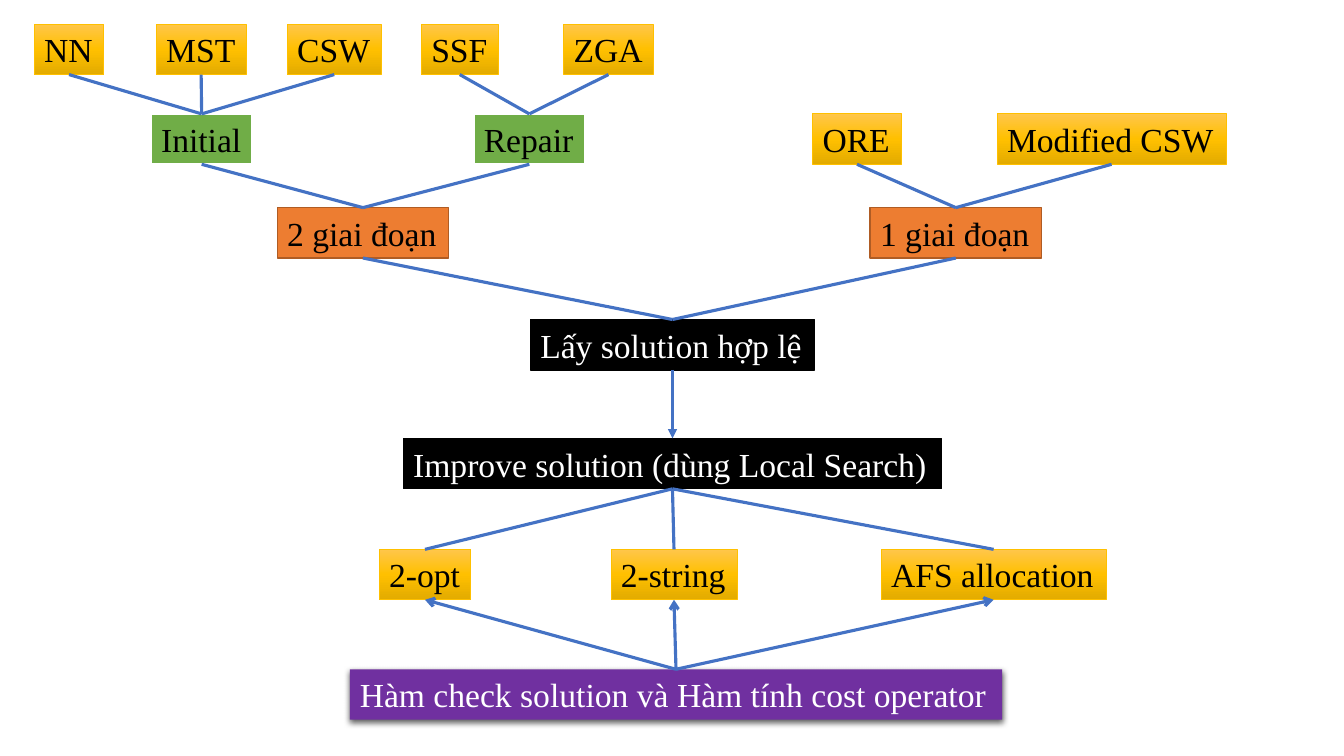
from copy import deepcopy
from pptx import Presentation
from pptx.dml.color import RGBColor
from pptx.enum.shapes import MSO_CONNECTOR as Link
from pptx.enum.text import MSO_AUTO_SIZE as Auto
from pptx.oxml import parse_xml
from pptx.oxml.ns import nsdecls, qn
from pptx.util import Inches, Pt

TALL = 0.5
TOP, BASE = 0, 2  # connection sites of a rectangle
GOLD = ["FFC64B", "FFC000", "E3AB00"]
KINDS = {  # fill, line colour, line width, text colour
    "gold": (GOLD, "FFC000", 0.5, "000000"),
    "green": ("70AD47", "FFFFFF", 1.5, "000000"),
    "orange": ("ED7D31", "AF5C24", 1, "000000"),
    "black": ("000000", "000000", 1, "FFFFFF"),
    "purple": ("7030A0", None, 0, "FFFFFF"),
}


def paint(target, tone):
    """Colour a fill or a font; a list of tones makes a downward gradient."""
    if isinstance(tone, list):
        target.gradient()
        target.gradient_angle = 270
        first = target.gradient_stops[0]._gs
        first.addnext(deepcopy(first))
        for i, stop in enumerate(target.gradient_stops):
            stop.position = i / (len(tone) - 1)
            paint(stop, tone[i])
        return
    if hasattr(target, "solid"):
        target.solid()
    color = target.fore_color if hasattr(target, "fore_color") else target.color
    color.rgb = RGBColor.from_string(tone)


def style(item, **values):
    for name, value in values.items():
        setattr(item, name, value)


def effect(shape, inner=""):
    shape._element.spPr.append(parse_xml(
        f'<a:effectLst {nsdecls("a")}>{inner}</a:effectLst>'))


# Parts
def node(slide, kind, text, x, y, wide):
    fill, edge, width, ink = KINDS[kind]
    box = slide.shapes.add_textbox(*map(Inches, (x, y, wide, TALL)))
    paint(box.fill, fill)
    if edge:
        paint(box.line.fill, edge)
        box.line.width = Pt(width)
    style(box.text_frame, word_wrap=False, auto_size=Auto.SHAPE_TO_FIT_TEXT)
    run = box.text_frame.paragraphs[0].add_run()
    run.text = text
    style(run.font, name="Times New Roman", size=Pt(24))
    paint(run.font, ink)
    return box


def join(slide, upper, lower, head=None, rise=False):
    """Link the base of one box to the top of another; rise points upward."""
    ends = [(upper, BASE), (lower, TOP)]
    if rise:
        ends.reverse()
    line = slide.shapes.add_connector(Link.STRAIGHT, 0, 0, 0, 0)
    line.begin_connect(*ends[0])
    line.end_connect(*ends[1])
    paint(line.line.fill, "4472C4")
    line.line.width = Pt(2.25)
    if head:
        tail = line.line._ln.makeelement(qn("a:tailEnd"), {"type": head})
        line.line._ln.append(tail)
    effect(line)


def row(slide, kind, x, y, items):
    return [node(slide, kind, text, x + dx, y, wide) for text, dx, wide in items]


def fan(slide, many, one):
    for box in many:
        join(slide, box, one)


# Regions
def two_phase(slide, x, y):
    phase = node(slide, "orange", "2 giai đoạn", x + 2.41, y + 1.82, 1.7)
    steps = row(slide, "green", x, y + 0.89,
                [("Initial", 1.16, 1), ("Repair", 4.36, 1.1)])
    ways = row(slide, "gold", x, y, [
        ("NN", 0, 0.69), ("MST", 1.21, 0.89), ("CSW", 2.51, 0.93),
        ("SSF", 3.84, 0.76), ("ZGA", 5.25, 0.89)])
    fan(slide, ways[:3], steps[0])
    fan(slide, ways[3:], steps[1])
    fan(slide, steps, phase)
    return phase


def one_phase(slide, x, y):
    phase = node(slide, "orange", "1 giai đoạn", x + 0.57, y + 0.93, 1.7)
    ways = row(slide, "gold", x, y,
               [("ORE", 0, 0.88), ("Modified CSW", 1.83, 2.27)])
    fan(slide, ways, phase)
    return phase


def solution(slide, x, y, phases):
    valid = node(slide, "black", "Lấy solution hợp lệ", x + 1.26, y, 2.82)
    better = node(slide, "black", "Improve solution (dùng Local Search)",
                  x, y + 1.18, 5.34)
    fan(slide, phases, valid)
    join(slide, valid, better, "triangle")
    return better


def search(slide, x, y, better):
    moves = row(slide, "gold", x, y, [
        ("2-opt", 0.29, 0.91), ("2-string", 2.59, 1.25),
        ("AFS allocation", 5.27, 2.23)])
    check = node(slide, "purple", "Hàm check solution và Hàm tính cost operator",
                 x, y + 1.19, 6.47)
    effect(check, '<a:outerShdw blurRad="57150" dist="19050" dir="5400000" '
                  'algn="ctr" rotWithShape="0"><a:srgbClr val="000000">'
                  '<a:alpha val="63000"/></a:srgbClr></a:outerShdw>')
    for move in moves:
        join(slide, better, move)
        join(slide, move, check, "arrow", rise=True)


# Slide
deck = Presentation()
style(deck, slide_width=Inches(13.33), slide_height=Inches(7.5))
page = deck.slides.add_slide(deck.slide_layouts[6])
phases = [two_phase(page, 0.34, 0.24), one_phase(page, 8.06, 1.13)]
better = solution(page, 4, 3.17, phases)
search(page, 3.47, 5.45, better)
deck.save("out.pptx")
